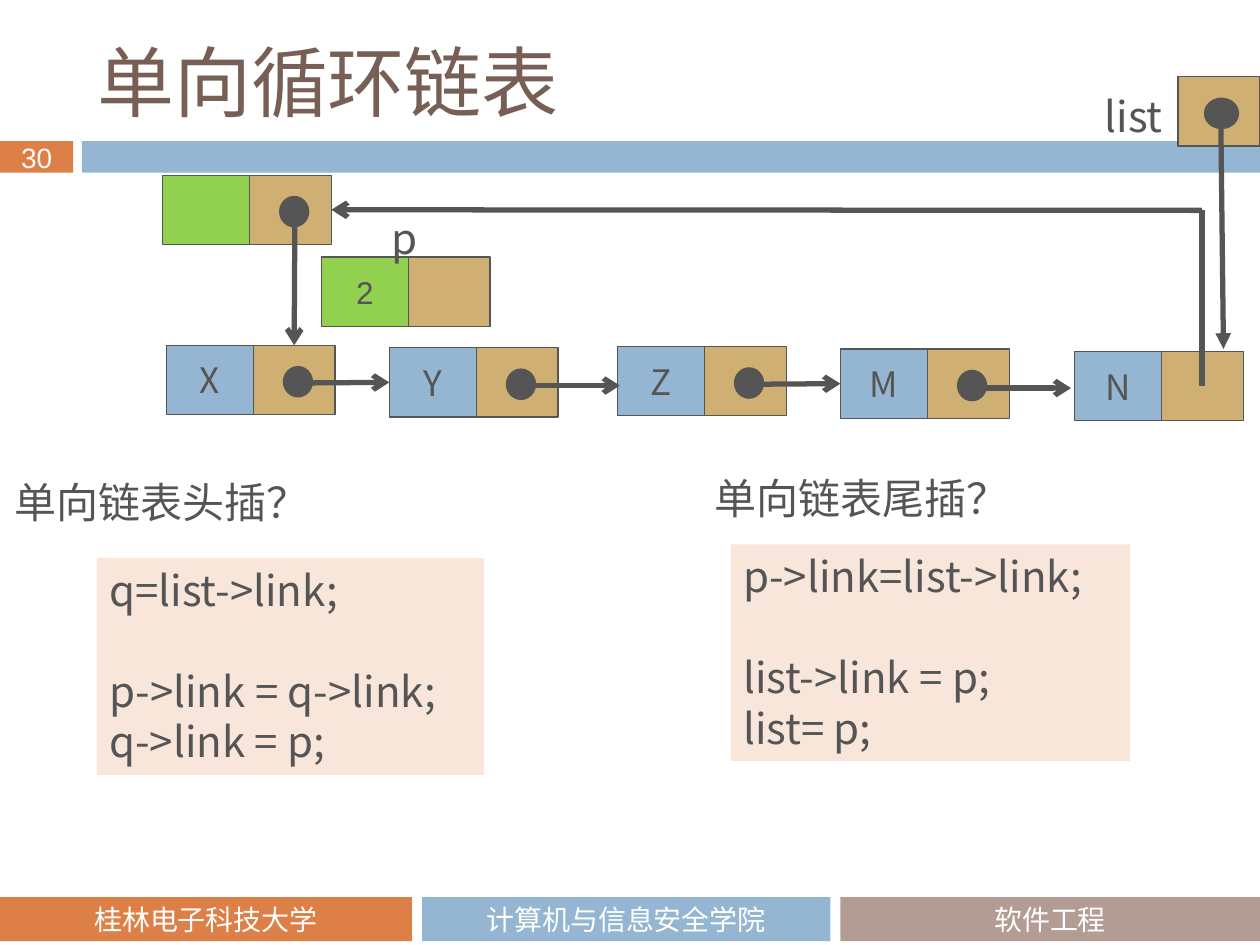
from typing import NamedTuple

from lxml import etree
from pptx import Presentation
from pptx.dml.color import RGBColor
from pptx.enum.shapes import MSO_CONNECTOR, MSO_SHAPE
from pptx.enum.text import MSO_ANCHOR, PP_ALIGN
from pptx.oxml.ns import qn
from pptx.util import Inches, Pt

RECT, OVAL = MSO_SHAPE.RECTANGLE, MSO_SHAPE.OVAL
LINE = MSO_CONNECTOR.STRAIGHT
LEFT, CENTER = PP_ALIGN.LEFT, PP_ALIGN.CENTER
TOP, MIDDLE = MSO_ANCHOR.TOP, MSO_ANCHOR.MIDDLE
SANS, TITLE, NUM, FOOT = "Noto Sans CJK SC", "Noto Sans CJK JP", "Arial", "Calibri"
INK, BLUE, ORANGE, TAN = "555555", "94B6D2", "DD8047", "D0AF72"
GREEN, MAUVE, PEACH, WHITE = "92D050", "B29C93", "F8E6DA", "FFFFFF"
DATA_W, LINK_W, CELL_H = 0.69, 0.65, 0.55
DOT_W, DOT_H = 0.23, 0.24


class Style(NamedTuple):
    size: float
    font: str = SANS
    color: str = INK
    align: PP_ALIGN = CENTER
    anchor: MSO_ANCHOR = MIDDLE


class Node(NamedTuple):
    x: float
    y: float
    fill: str = BLUE
    text: str = ""
    dot: bool = True
    style: Style = Style(20)


class Band(NamedTuple):
    x: float
    y: float
    w: float
    h: float
    fill: str
    text: str = ""
    style: Style = Style(16, FOOT, WHITE)


class Code(NamedTuple):
    x: float
    y: float
    w: float
    lines: tuple


class Label(NamedTuple):
    x: float
    y: float
    w: float
    text: str


LABEL = Style(24, align=LEFT, anchor=TOP)
BANDS = [
    Band(0, 1.12, 0.58, 0.25, ORANGE, "30", Style(16, NUM, "F9F9F9")),
    Band(0.65, 1.12, 9.35, 0.25, BLUE),
    Band(0, 7.12, 3.27, 0.35, ORANGE, "桂林电子科技大学"),
    Band(3.35, 7.12, 3.24, 0.35, BLUE, "计算机与信息安全学院"),
    Band(6.67, 7.12, 3.33, 0.35, MAUVE, "软件工程"),
]
NODES = {
    "head": Node(1.29, 1.39, GREEN),
    "X": Node(1.32, 2.74, text="X"),
    "Y": Node(3.09, 2.76, text="Y"),
    "Z": Node(4.9, 2.75, text="Z"),
    "M": Node(6.67, 2.77, text="M"),
    "N": Node(8.53, 2.79, text="N", dot=False),
    "new": Node(2.55, 2.04, GREEN, "2", False, Style(18, NUM)),
}
LABELS = [
    Label(8.67, 0.67, 0.71, "list"),
    Label(3.01, 1.64, 0.41, "p"),
    Label(0.02, 3.73, 2.56, "单向链表头插？"),
    Label(5.57, 3.7, 2.56, "单向链表尾插？"),
]
CODES = [
    Code(0.77, 4.43, 3.07, ("q=list->link;", "p->link = q->link;", "q->link = p;")),
    Code(5.8, 4.32, 3.17, ("p->link=list->link;", "list->link = p;", "list= p;")),
]


def rgb(color: str) -> RGBColor:
    return RGBColor.from_string(color)


def write(shape, lines: tuple, style: Style, wrap: bool = True) -> None:
    frame = shape.text_frame
    frame.word_wrap, frame.vertical_anchor = wrap, style.anchor
    frame.text = "\n".join(lines)
    values = {"size": Pt(style.size), "name": style.font, "bold": False}
    for para in frame.paragraphs:
        para.alignment = style.align
        for run in para.runs:
            for key, value in values.items():
                setattr(run.font, key, value)
            run.font.color.rgb = rgb(style.color)
            asian = TITLE if style.font == TITLE else SANS
            props = run.font._element
            etree.SubElement(props, qn("a:ea")).set("typeface", asian)


def block(slide, kind, x, y, w, h, fill: str, edge: str = ""):
    shape = slide.shapes.add_shape(kind, Inches(x), Inches(y), Inches(w), Inches(h))
    shape.shadow.inherit = False
    shape.fill.solid()
    shape.fill.fore_color.rgb = rgb(fill)
    if edge:
        shape.line.color.rgb = rgb(edge)
        shape.line.width = Pt(0.75)
    else:
        shape.line.fill.background()
    return shape


def add_band(slide, band: Band) -> None:
    shape = block(slide, RECT, *band[:5])
    frame = shape.text_frame
    for side in ("left", "right", "top", "bottom"):
        setattr(frame, f"margin_{side}", 0)
    if band.text:
        write(shape, (band.text,), band.style)


def add_node(slide, node: Node) -> tuple:
    """Draw a node and return its data cell and its link cell."""
    data = block(slide, RECT, node.x, node.y, DATA_W, CELL_H, node.fill, INK)
    if node.text:
        write(data, (node.text,), node.style)
    left = node.x + DATA_W
    link = block(slide, RECT, left, node.y, LINK_W, CELL_H, TAN, INK)
    if node.dot:
        block(slide, OVAL, left + 0.24, node.y + 0.17, DOT_W, DOT_H, INK, INK)
    return data, link


def add_line(slide, start: tuple, end: tuple, head: str = "", join=None) -> None:
    """Draw a line; join is the shape and side its end is tied to."""
    line = slide.shapes.add_connector(LINE, *map(Inches, start + end))
    if join:
        line.end_connect(*join)
    line.line.color.rgb = rgb(INK)
    line.line.width = Pt(3)
    if head:
        etree.SubElement(line.line._get_or_add_ln(), qn("a:tailEnd")).set("type", head)
    etree.SubElement(line._element.spPr, qn("a:effectLst"))


def add_label(slide, label: Label) -> None:
    box = slide.shapes.add_textbox(*map(Inches, (*label[:3], 0.5)))
    write(box, (label.text,), LABEL, wrap=False)


def add_code(slide, code: Code) -> None:
    shape = block(slide, RECT, code.x, code.y, code.w, 1.72, PEACH)
    write(shape, code.lines, LABEL)
    shape.text_frame.paragraphs[1].space_before = Pt(29)


def main() -> None:
    deck = Presentation()
    deck.slide_width, deck.slide_height = Inches(10), Inches(7.5)
    slide = deck.slides.add_slide(deck.slide_layouts[5])
    title = slide.shapes.title
    place = {"left": 0.67, "top": 0.25, "width": 8.92, "height": 0.78}
    for key, value in place.items():
        setattr(title, key, Inches(value))
    write(title, ("单向循环链表",), Style(44, TITLE, "775F55", LEFT))

    for band in BANDS:
        add_band(slide, band)
    cells = {name: add_node(slide, node) for name, node in NODES.items()}
    block(slide, RECT, 9.35, 0.61, LINK_W, CELL_H, TAN, INK)
    block(slide, OVAL, 9.56, 0.78, 0.27, DOT_H, INK, INK)

    add_line(slide, (2.34, 1.8), (2.33, 2.74), "arrow", (cells["X"][1], 0))
    add_line(slide, (2.35, 3.04), (3.09, 3.04), "arrow", (cells["Y"][0], 1))
    add_line(slide, (4.17, 3.06), (4.92, 3.06), "arrow")
    add_line(slide, (5.93, 3.05), (6.67, 3.05), "arrow", (cells["M"][0], 1))
    add_line(slide, (7.75, 3.08), (8.5, 3.08), "arrow")
    add_line(slide, (9.54, 1.67), (2.63, 1.67), "arrow", (cells["head"][1], 3))
    add_line(slide, (9.54, 1.67), (9.54, 3.06))
    add_line(slide, (9.69, 1.02), (9.71, 2.77), "triangle")

    for label in LABELS:
        add_label(slide, label)
    for code in CODES:
        add_code(slide, code)
    deck.save("out.pptx")


if __name__ == "__main__":
    main()
